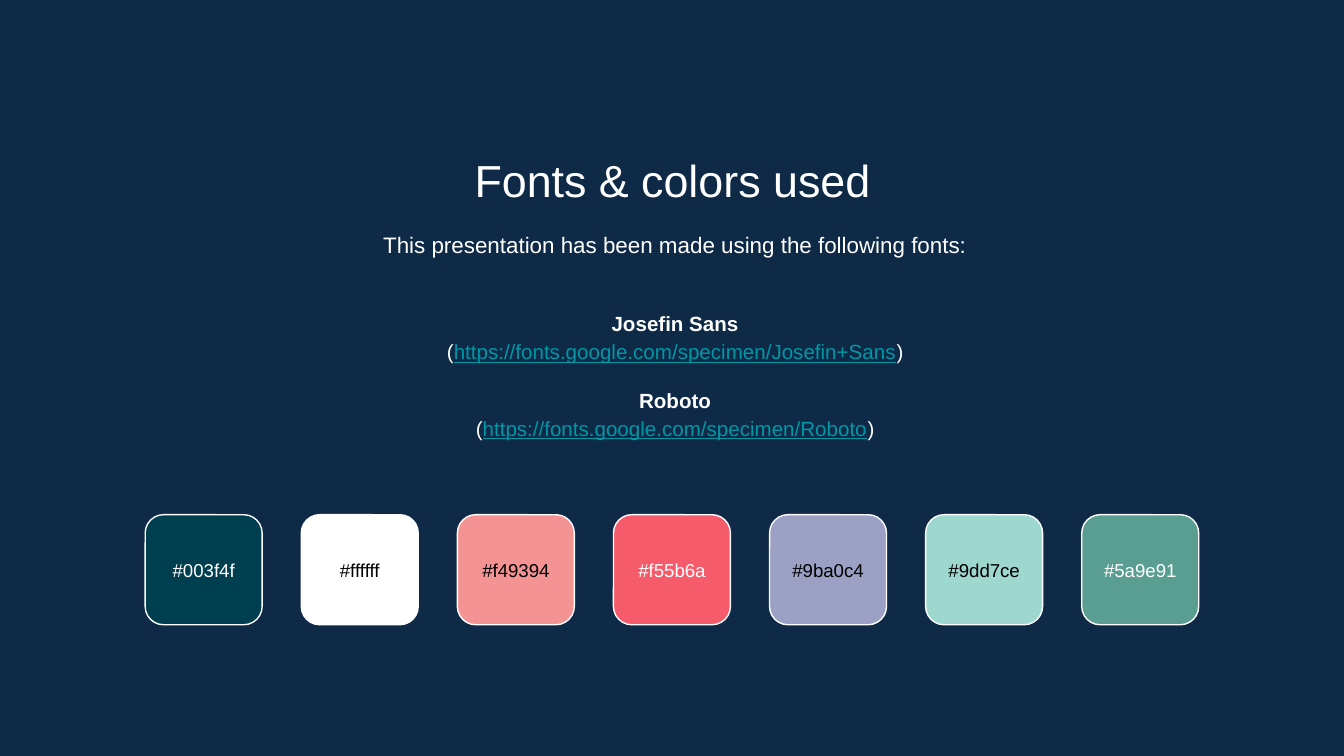
from pptx import Presentation
from pptx.dml.color import RGBColor
from pptx.enum.shapes import MSO_SHAPE
from pptx.enum.text import MSO_ANCHOR, PP_ALIGN
from pptx.util import Cm, Pt

ROUNDED = MSO_SHAPE.ROUNDED_RECTANGLE
TOP, MIDDLE = MSO_ANCHOR.TOP, MSO_ANCHOR.MIDDLE
CENTER = PP_ALIGN.CENTER

COLORS = {"navy": "0E2A47", "white": "FFFFFF", "black": "000000", "link": "0097A7"}
FONT = "Arial"

TITLE = "Fonts & colors used"
INTRO = "This presentation has been made using the following fonts:"
FONTS_USED = [
    ("Josefin Sans", "https://fonts.google.com/specimen/Josefin+Sans"),
    ("Roboto", "https://fonts.google.com/specimen/Roboto"),
]
SWATCHES = [  # label, text colour
    ("#003f4f", "white"),
    ("#ffffff", "black"),
    ("#f49394", "black"),
    ("#f55b6a", "white"),
    ("#9ba0c4", "black"),
    ("#9dd7ce", "black"),
    ("#5a9e91", "white"),
]

# Lengths in cm
SLIDE_W, SLIDE_H = 25.4, 14.29
INSET = 0.25
TEXT_W = 19.58
SWATCH_W, SWATCH_H, SWATCH_PITCH, SWATCH_TOP = 2.21, 2.08, 2.95, 9.73


def rgb(name):
    return RGBColor.from_string(COLORS[name])


def prepare_frame(tf, anchor):
    tf.margin_left = tf.margin_right = tf.margin_top = tf.margin_bottom = Cm(INSET)
    tf.vertical_anchor = anchor


def add_text_frame(slide, left, top, height, anchor=TOP):
    tf = slide.shapes.add_textbox(Cm(left), Cm(top), Cm(TEXT_W), Cm(height)).text_frame
    tf.word_wrap = True
    prepare_frame(tf, anchor)
    return tf


def style(p, size, color="white", bold=False, spacing=None):
    p.alignment = CENTER
    p.line_spacing = spacing
    p.font.name = FONT
    p.font.size = Pt(size)
    p.font.bold = bold
    p.font.color.rgb = rgb(color)


def add_font_list(tf):
    for i, (name, url) in enumerate(FONTS_USED):
        p = tf.add_paragraph() if i else tf.paragraphs[0]
        p.text = name
        style(p, 11, bold=True, spacing=1.15)
        if i:
            p.space_before = Pt(10.6)

        p = tf.add_paragraph()
        style(p, 11, spacing=1.15)
        for text, is_link in (("(", False), (url, True), (")", False)):
            r = p.add_run()
            r.text = text
            if is_link:
                r.font.underline = True
                r.font.color.rgb = rgb("link")


def add_swatch(slide, left, label, text_color):
    sp = slide.shapes.add_shape(
        ROUNDED, Cm(left), Cm(SWATCH_TOP), Cm(SWATCH_W), Cm(SWATCH_H))
    sp.shadow.inherit = False
    sp.fill.solid()
    sp.fill.fore_color.rgb = RGBColor.from_string(label[1:].upper())
    sp.line.color.rgb = rgb("white")
    sp.line.width = Pt(0.75)
    tf = sp.text_frame
    tf.word_wrap = False
    prepare_frame(tf, MIDDLE)
    tf.text = label
    style(tf.paragraphs[0], 10, text_color)


prs = Presentation()
prs.slide_width, prs.slide_height = Cm(SLIDE_W), Cm(SLIDE_H)
s = prs.slides.add_slide(prs.slide_layouts[6])
s.background.fill.solid()
s.background.fill.fore_color.rgb = rgb("navy")

title = add_text_frame(s, 2.92, 2.64, 1.35)
title.text = TITLE
style(title.paragraphs[0], 24)

intro = add_text_frame(s, 2.97, 4.04, 1.22)
intro.text = INTRO
style(intro.paragraphs[0], 12, spacing=1.15)

add_font_list(add_text_frame(s, 2.97, 5.33, 3.48, MIDDLE))

row_w = (len(SWATCHES) - 1) * SWATCH_PITCH + SWATCH_W
for i, (label, text_color) in enumerate(SWATCHES):
    add_swatch(s, (SLIDE_W - row_w) / 2 + i * SWATCH_PITCH, label, text_color)

prs.save("out.pptx")
